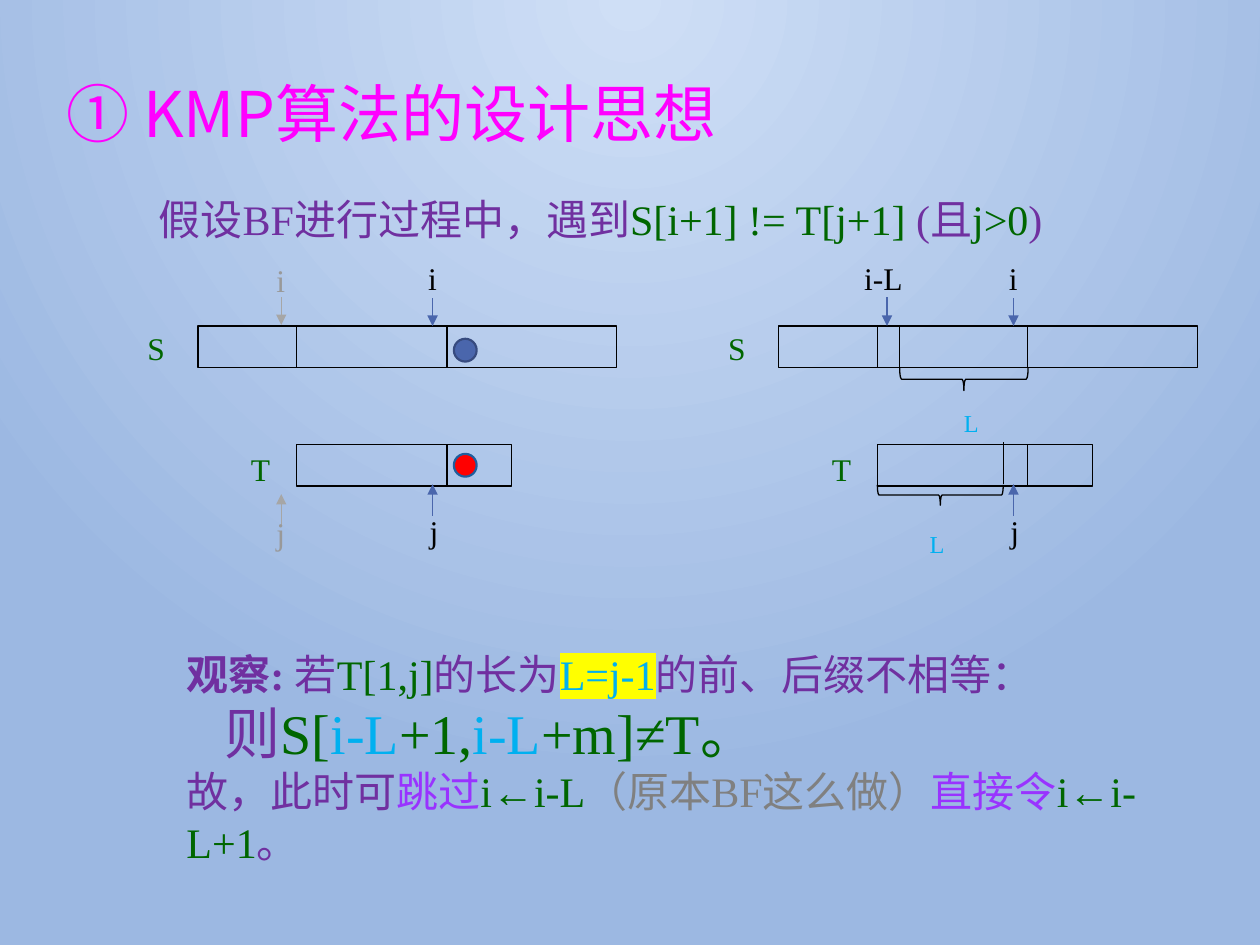
"""Build the slide on the design idea of the KMP algorithm."""
from typing import NamedTuple

from lxml import etree
from pptx import Presentation
from pptx import util as u
from pptx.dml.color import RGBColor
from pptx.enum import shapes, text
from pptx.oxml.ns import qn

COLORS = {
    "title": "FF00FF", "purple": "7030A0", "green": "006600", "cyan": "00B0F0",
    "violet": "9933FF", "gray": "808080", "faded": "A6A6A6", "dim": "999999",
    "black": "000000", "yellow": "FFFF00", "blue": "4A66AC", "navy": "374B7F",
    "red": "FF0000", "edge": "1E5E9E", "center": "CFDFF6", "rim": "9CB8E2",
}
LATIN = "Times New Roman"
HAN = "Noto Sans CJK SC"
PANEL_GAP = 11.71
BAR_HEIGHT = 0.84
S_TOP, T_TOP = 6.57, 8.96


class Span(NamedTuple):
    words: str
    color: str
    bold: bool = False
    highlight: str = ""


class Line(NamedTuple):
    spans: list[Span]
    size: float = 24
    indent: float = 0


class Label(NamedTuple):
    words: str
    left: float
    top: float
    width: float = 0.91
    color: str = "black"


class Bar(NamedTuple):
    left: float
    top: float
    width: float


class Arrow(NamedTuple):
    x: float
    start: float
    end: float
    color: str = "blue"


class Divider(NamedTuple):
    x: float
    top: float


class Dot(NamedTuple):
    top: float
    fill: str
    edge: str


class Brace(NamedTuple):
    left: float
    top: float
    width: float
    height: float


PANEL_LABELS = [Label("i", 8.38, 5.1), Label("j", 8.41, 10.2),
                Label("S", 2.72, 6.5, 1.12, "green"), Label("T", 4.81, 8.95, 1.12, "green")]
PANEL_BARS = [Bar(3.99, S_TOP, 8.44), Bar(5.98, T_TOP, 4.34)]
PANEL_DIVIDERS = [Divider(5.98, S_TOP), Divider(9.01, S_TOP), Divider(9.01, T_TOP)]
PANEL_ARROWS = [Arrow(8.72, 6.01, 6.57), Arrow(8.72, 10.4, 9.76)]

START_LABELS = [Label("i", 5.32, 5.13, color="dim"), Label("j", 5.32, 10.23, color="dim")]
START_ARROWS = [Arrow(5.67, 5.99, 6.55, "faded"), Arrow(5.67, 10.59, 9.96, "faded")]
MISMATCHES = [Dot(6.83, "blue", "navy"), Dot(9.15, "red", "edge")]

SHIFT_BRACES = [Brace(19.2, 6.35, 0.46, 2.59), Brace(18.75, 8.71, 0.41, 2.54)]
SHIFT_LENGTHS = [(18.49, 9.98), (19.18, 7.54)]
SHIFT_DIVIDERS = [Divider(18.13, S_TOP), Divider(20.23, 8.92)]

ASSUMPTION = [Line([
    Span("假设BF进行过程中，遇到", "purple"), Span("S[i+1] != T[j+1]", "green"),
    Span(" (且", "purple"), Span("j>0", "green"), Span(")", "purple")])]
OBSERVATION = [
    Line([Span("观察: ", "purple", bold=True), Span("若", "purple"), Span("T[1,j]", "green"),
          Span("的长为", "purple"), Span("L=j-1", "cyan", highlight="yellow"),
          Span("的前、后缀不相等：", "purple")]),
    Line([Span("则", "purple"), Span("S[", "green"), Span("i-L", "cyan"), Span("+1,", "green"),
          Span("i-L", "cyan"), Span("+m]≠T。", "green")], 32, 0.77),
    Line([Span("故，此时可", "purple"), Span("跳过", "violet"), Span("i←i-L", "green"),
          Span("（原本BF这么做）", "gray"), Span("直接令", "violet"),
          Span("i←i-L+1", "green"), Span("。", "purple")]),
]


def rgb(name: str) -> RGBColor:
    return RGBColor.from_string(COLORS[name])


def draw_background(slide) -> None:
    fill = slide.background.fill
    fill.gradient()
    for stop, position, name in zip(fill.gradient_stops, (0, 1), ("center", "rim")):
        stop.position = position
        stop.color.rgb = rgb(name)
    gradient = slide.element.find(".//" + qn("a:gradFill"))
    gradient.remove(gradient.find(qn("a:lin")))
    circle = etree.SubElement(gradient, qn("a:path"), {"path": "circle"})
    etree.SubElement(circle, qn("a:fillToRect"), l="43000", t="0", r="43000", b="100000")


def draw_title(slide, words: str) -> None:
    title = slide.shapes.title
    title.left, title.top, title.width, title.height = map(u.Cm, (1.08, 1.63, 20.75, 1.45))
    title.text_frame.text = words
    title.text_frame.vertical_anchor = text.MSO_ANCHOR.MIDDLE
    paragraph = title.text_frame.paragraphs[0]
    paragraph.alignment = text.PP_ALIGN.LEFT
    paragraph.line_spacing = 0.9
    paragraph.font.size, paragraph.font.name = u.Pt(36), HAN
    paragraph.font.color.rgb = rgb("title")


def draw_text(target, lines: list[Line], left: float, top: float, width: float, height: float):
    frame = target.add_textbox(*map(u.Cm, (left, top, width, height))).text_frame
    frame.word_wrap = True
    frame.auto_size = text.MSO_AUTO_SIZE.SHAPE_TO_FIT_TEXT
    for index, line in enumerate(lines):
        paragraph = frame.add_paragraph() if index else frame.paragraphs[0]
        if line.indent:
            paragraph._p.get_or_add_pPr().set("indent", str(u.Cm(line.indent)))
        paragraph.font.size, paragraph.font.name = u.Pt(line.size), LATIN
        for span in line.spans:
            run = paragraph.add_run()
            run.text = span.words
            run.font.color.rgb = rgb(span.color)
            if span.bold:
                run.font.bold = True
            if span.highlight:
                mark = etree.SubElement(run.font._element, qn("a:highlight"))
                etree.SubElement(mark, qn("a:srgbClr"), val=COLORS[span.highlight])
    return frame


def draw_label(target, label: Label, dx: float = 0) -> None:
    line = Line([Span(label.words, label.color)], 18)
    draw_text(target, [line], label.left + dx, label.top, label.width, 1.02)


def draw_shape(target, kind, box: tuple, edge: str, weight: float = 0.75, fill: str = ""):
    shape = target.add_shape(kind, *map(u.Cm, box))
    shape.shadow.inherit = False
    shape.line.color.rgb, shape.line.width = rgb(edge), u.Pt(weight)
    if fill:
        shape.fill.solid()
        shape.fill.fore_color.rgb = rgb(fill)
    else:
        shape.fill.background()
    return shape


def draw_vertical(target, x: float, start: float, end: float, color: str, head: bool = False):
    line = target.add_connector(shapes.MSO_CONNECTOR.STRAIGHT, *map(u.Cm, (x, start, x, end)))
    line.line.color.rgb, line.line.width = rgb(color), u.Pt(0.75)
    if head:
        etree.SubElement(line.line._get_or_add_ln(), qn("a:tailEnd"), type="triangle")
    etree.SubElement(line._element.spPr, qn("a:effectLst"))


def draw_panel(target, dx: float) -> None:
    for label in PANEL_LABELS:
        draw_label(target, label, dx)
    for bar in PANEL_BARS:
        box = (bar.left + dx, bar.top, bar.width, BAR_HEIGHT)
        draw_shape(target, shapes.MSO_SHAPE.RECTANGLE, box, "black")
    for x, top in PANEL_DIVIDERS:
        draw_vertical(target, x + dx, top, top + BAR_HEIGHT, "black")
    for arrow in PANEL_ARROWS:
        draw_vertical(target, arrow.x + dx, arrow.start, arrow.end, arrow.color, head=True)


def draw_mismatch(target) -> None:
    draw_panel(target, 0)
    for dot in MISMATCHES:
        box = (9.15, dot.top, 0.46, 0.46)
        draw_shape(target, shapes.MSO_SHAPE.OVAL, box, dot.edge, 1.25, dot.fill)
    for arrow in START_ARROWS:
        draw_vertical(target, *arrow, head=True)
    for label in START_LABELS:
        draw_label(target, label)


def draw_shift(target) -> None:
    draw_panel(target, PANEL_GAP)
    for brace in SHIFT_BRACES:
        draw_shape(target, shapes.MSO_SHAPE.RIGHT_BRACE, brace, "black").rotation = 90
    for left, top in SHIFT_LENGTHS:
        frame = draw_text(target, [Line([Span("L", "cyan")])], left, top, 1.19, 0.94)
        frame.paragraphs[0].runs[0].font._element.set("baseline", "-25000")
    draw_vertical(target, 17.88, 5.99, S_TOP, "blue", head=True)
    draw_label(target, Label("i-L", 17.17, 5.09, 1.42))
    for x, top in SHIFT_DIVIDERS:
        draw_vertical(target, x, top, top + BAR_HEIGHT, "black")


def main() -> None:
    deck = Presentation()
    deck.slide_width, deck.slide_height = u.Cm(25.4), u.Cm(19.05)
    slide = deck.slides.add_slide(deck.slide_layouts[5])
    draw_background(slide)
    draw_title(slide, "① KMP算法的设计思想")
    draw_text(slide.shapes, OBSERVATION, 3.51, 12.94, 21.62, 3.68)
    draw_text(slide.shapes, ASSUMPTION, 2.95, 3.78, 20.37, 1.27)
    draw_mismatch(slide.shapes)
    draw_shift(slide.shapes.add_group_shape().shapes)
    deck.save("out.pptx")


if __name__ == "__main__":
    main()
